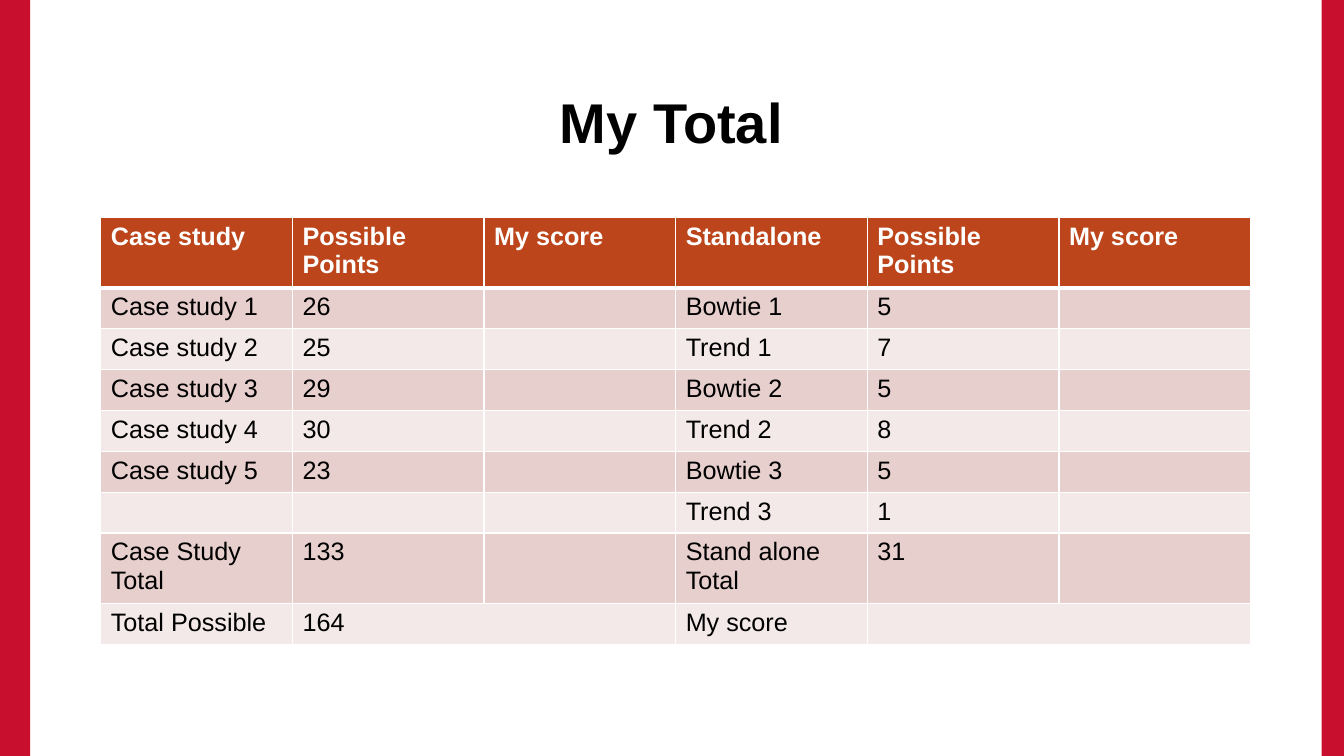
from lxml import etree
from pptx import Presentation
from pptx.dml.color import RGBColor
from pptx.enum import shapes, text
from pptx.oxml import ns
from pptx.util import Pt

WHITE = RGBColor(0xFF, 0xFF, 0xFF)
BLACK = RGBColor(0x00, 0x00, 0x00)
RED = RGBColor(0xC8, 0x10, 0x2E)
HEADER = RGBColor(0xBC, 0x45, 0x1B)
BANDS = (RGBColor(0xF3, 0xE9, 0xE8), RGBColor(0xE7, 0xCF, 0xCD))

TITLE = "My Total"
ROWS = [
    ("Case study", "Possible Points", "My score", "Standalone", "Possible Points", "My score"),
    ("Case study 1", "26", "", "Bowtie 1", "5", ""),
    ("Case study 2", "25", "", "Trend 1", "7", ""),
    ("Case study 3", "29", "", "Bowtie 2", "5", ""),
    ("Case study 4", "30", "", "Trend 2", "8", ""),
    ("Case study 5", "23", "", "Bowtie 3", "5", ""),
    ("", "", "", "Trend 3", "1", ""),
    ("Case Study Total", "133", "", "Stand alone Total", "31", ""),
    ("Total Possible", "164", "", "My score", "", ""),
]
MERGED_COLUMNS = (1, 4)  # first column of each two-column cell in the last row

SLIDE_WIDTH, SLIDE_HEIGHT = 960, 540
SIDE_BARS = [(0, 21.6), (944, 16)]  # left, width
TITLE_BOX = (72, 48.24, 815, 76.3)
TABLE_LEFT, TABLE_TOP = 72, 155.1
COLUMN_WIDTH, ROW_HEIGHT = 136.9, 29.2


def write(frame, words, size=18, color=BLACK, bold=False, align=text.PP_ALIGN.LEFT):
    paragraph = frame.paragraphs[0]
    paragraph.alignment = align
    paragraph.font.size = Pt(size)
    if words:
        run = paragraph.add_run()
        run.text = words
        run.font.name = "Arial"
        run.font.size = Pt(size)
        run.font.bold = bold
        run.font.color.rgb = color


def add_border(cell, side, width):
    """Draw a white line on one side (L, R, T or B); call before setting the fill."""
    properties = cell._tc.get_or_add_tcPr()
    line = etree.SubElement(properties, ns.qn(f"a:ln{side}"), w=str(Pt(width)))
    fill = etree.SubElement(line, ns.qn("a:solidFill"))
    etree.SubElement(fill, ns.qn("a:srgbClr"), val=str(WHITE))


def add_side_bars(slide):
    for left, width in SIDE_BARS:
        bar = slide.shapes.add_shape(shapes.MSO_SHAPE.RECTANGLE, Pt(left), 0,
                                     Pt(width), Pt(SLIDE_HEIGHT))
        bar.shadow.inherit = False
        bar.fill.solid()
        bar.fill.fore_color.rgb = RED
        bar.line.fill.background()


def add_title(slide):
    frame = slide.shapes.add_textbox(*map(Pt, TITLE_BOX)).text_frame
    frame.word_wrap = True
    frame.vertical_anchor = text.MSO_ANCHOR.MIDDLE
    write(frame, TITLE, size=40, bold=True, align=text.PP_ALIGN.CENTER)


def add_score_table(slide):
    row_count, column_count = len(ROWS), len(ROWS[0])
    table = slide.shapes.add_table(
        row_count, column_count, Pt(TABLE_LEFT), Pt(TABLE_TOP),
        Pt(COLUMN_WIDTH * column_count), Pt(ROW_HEIGHT * row_count)).table
    for column in table.columns:
        column.width = Pt(COLUMN_WIDTH)
    for row in table.rows:
        row.height = Pt(ROW_HEIGHT)

    for row_index, row in enumerate(ROWS):
        is_header = row_index == 0
        for column_index, words in enumerate(row):
            cell = table.cell(row_index, column_index)
            for side in "LRTB":
                under_header = (row_index, side) in ((0, "B"), (1, "T"))
                add_border(cell, side, 3 if under_header else 1)
            cell.fill.solid()
            cell.fill.fore_color.rgb = HEADER if is_header else BANDS[row_index % 2]
            write(cell.text_frame, words, bold=is_header,
                  color=WHITE if is_header else BLACK)

    last = row_count - 1
    for column_index in MERGED_COLUMNS:
        table.cell(last, column_index).merge(table.cell(last, column_index + 1))


def main():
    presentation = Presentation()
    presentation.slide_width = Pt(SLIDE_WIDTH)
    presentation.slide_height = Pt(SLIDE_HEIGHT)
    slide = presentation.slides.add_slide(presentation.slide_layouts[6])
    add_side_bars(slide)
    add_title(slide)
    add_score_table(slide)
    presentation.save("out.pptx")


if __name__ == "__main__":
    main()
